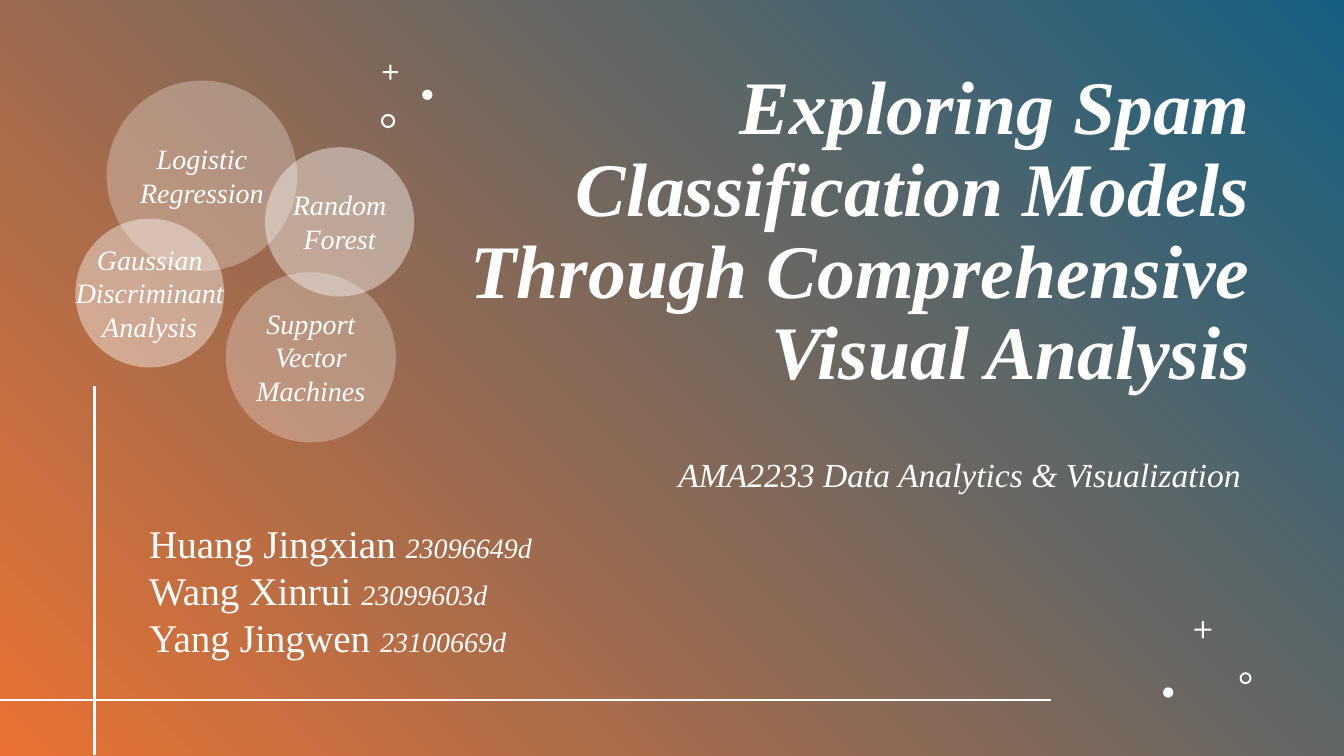
from lxml.etree import SubElement
from pptx import Presentation
from pptx.dml.color import RGBColor
from pptx.enum.shapes import MSO_CONNECTOR, MSO_SHAPE
from pptx.enum.text import MSO_AUTO_SIZE, PP_ALIGN
from pptx.oxml import parse_xml
from pptx.oxml.ns import nsdecls, qn
from pptx.util import Cm, Pt

COLOURS = {"white": "FFFFFF", "blue": "156082", "orange": "E97132", "shadow": "000000"}
FONT = "Times New Roman"
SLIDE_WIDTH, SLIDE_HEIGHT = Cm(33.87), Cm(19.05)
LABEL_WIDTH = 4.39

TITLE = "Exploring Spam Classification Models Through Comprehensive Visual Analysis"
SUBTITLE = "AMA2233 Data Analytics & Visualization"
AUTHORS = [
    ("Huang Jingxian ", "23096649d"),
    ("Wang Xinrui ", "23099603d"),
    ("Yang Jingwen ", "23100669d"),
]
# left, top, diameter, opacity in percent, label height, label paragraphs
MODELS = [
    (2.69, 2.03, 4.8, 28, 1.96, ["Logistic Regression"]),
    (1.9, 5.51, 3.75, 41, 2.82, ["Gaussian", "Discriminant", "Analysis"]),
    (6.68, 3.71, 3.76, 41, 1.96, ["Random", "Forest"]),
    (5.69, 6.86, 4.29, 28, 2.82, ["Support", "Vector", "Machines"]),
]
# preset, left, top, size, adjustment
ORNAMENTS = [
    (MSO_SHAPE.CROSS, 9.65, 1.63, 0.38, 0.43),
    (MSO_SHAPE.OVAL, 10.64, 2.26, 0.26, None),
    (MSO_SHAPE.DONUT, 9.6, 2.87, 0.36, 0.15),
    (MSO_SHAPE.CROSS, 30.1, 15.65, 0.43, 0.44),
    (MSO_SHAPE.DONUT, 31.24, 16.94, 0.3, 0.16),
    (MSO_SHAPE.OVAL, 29.31, 17.32, 0.26, None),
]


def colour(name):
    return RGBColor.from_string(COLOURS[name])


def add_background(slide):
    shape = slide.shapes.add_shape(MSO_SHAPE.RECTANGLE, 0, 0, SLIDE_WIDTH, SLIDE_HEIGHT)
    shape.shadow.inherit = False
    shape.line.fill.background()
    shape.fill.gradient()
    shape.fill.gradient_angle = 225
    for stop, name in zip(shape.fill.gradient_stops, ("blue", "orange")):
        stop.color.rgb = colour(name)


def add_white_shape(shapes, preset, left, top, size):
    shape = shapes.add_shape(preset, Cm(left), Cm(top), Cm(size), Cm(size))
    shape.shadow.inherit = False
    shape.line.fill.background()
    shape.fill.solid()
    shape.fill.fore_color.rgb = colour("white")
    return shape


def add_ornament(slide, preset, left, top, size, adjustment):
    shape = add_white_shape(slide.shapes, preset, left, top, size)
    if adjustment is not None:
        shape.adjustments[0] = adjustment


def add_line(slide, start, end, width):
    points = [Cm(value) for value in (*start, *end)]
    connector = slide.shapes.add_connector(MSO_CONNECTOR.STRAIGHT, *points)
    connector.line.color.rgb = colour("white")
    connector.line.width = Pt(width)
    SubElement(connector._element.spPr, qn("a:effectLst"))


def add_text(shapes, box, paragraphs, align=PP_ALIGN.LEFT, spacing=None, wrap=True):
    """Add a text box; each paragraph is a list of (text, size, bold, italic) runs."""
    text_box = shapes.add_textbox(*[Cm(value) for value in box])
    frame = text_box.text_frame
    frame.word_wrap = wrap
    frame.auto_size = MSO_AUTO_SIZE.NONE
    for index, runs in enumerate(paragraphs):
        paragraph = frame.add_paragraph() if index else frame.paragraphs[0]
        paragraph.alignment = align
        paragraph.line_spacing = spacing
        for text, size, bold, italic in runs:
            run = paragraph.add_run()
            run.text = text
            run.font.name = FONT
            run.font.size = Pt(size)
            run.font.bold = bold
            run.font.italic = italic
            run.font.color.rgb = colour("white")
    return text_box


def add_text_shadow(run):
    effects = parse_xml(
        f'<a:effectLst {nsdecls("a")}>'
        '<a:outerShdw blurRad="38100" dist="38100" dir="2700000" algn="tl">'
        f'<a:srgbClr val="{COLOURS["shadow"]}"><a:alpha val="43000"/></a:srgbClr>'
        "</a:outerShdw></a:effectLst>"
    )
    run._r.get_or_add_rPr().find(qn("a:solidFill")).addnext(effects)


def add_model(slide, left, top, diameter, opacity, label_height, lines):
    """Add a translucent circle with its label centred on it."""
    group = slide.shapes.add_group_shape()
    circle = add_white_shape(group.shapes, MSO_SHAPE.OVAL, left, top, diameter)
    fill_colour = circle._element.spPr.find(qn("a:solidFill"))[0]
    SubElement(fill_colour, qn("a:alpha")).set("val", str(opacity * 1000))
    box = (
        left + (diameter - LABEL_WIDTH) / 2,
        top + (diameter - label_height) / 2,
        LABEL_WIDTH,
        label_height,
    )
    paragraphs = [[(line, 20, False, True)] for line in lines]
    label = add_text(group.shapes, box, paragraphs, PP_ALIGN.CENTER)
    for paragraph in label.text_frame.paragraphs:
        for run in paragraph.runs:
            add_text_shadow(run)


def main():
    presentation = Presentation()
    presentation.slide_width, presentation.slide_height = SLIDE_WIDTH, SLIDE_HEIGHT
    slide = presentation.slides.add_slide(presentation.slide_layouts[6])

    add_background(slide)
    add_text(slide.shapes, (10.92, 1.63, 20.83, 11.56), [[(TITLE, 54, True, True)]],
             PP_ALIGN.RIGHT, 0.9)
    add_text(slide.shapes, (16.03, 11.43, 15.49, 1.4), [[(SUBTITLE, 24, False, True)]],
             PP_ALIGN.RIGHT, 0.9)
    for ornament in ORNAMENTS:
        add_ornament(slide, *ornament)
    add_line(slide, (2.39, 9.73), (2.39, 19.02), 2)
    authors = [[(name, 28, False, False), (number, 20, False, True)] for name, number in AUTHORS]
    add_text(slide.shapes, (3.51, 12.95, 10.26, 3.84), authors, wrap=False)
    for model in MODELS:
        add_model(slide, *model)
    add_line(slide, (-0.18, 17.63), (26.49, 17.63), 1.5)

    presentation.save("out.pptx")


if __name__ == "__main__":
    main()
